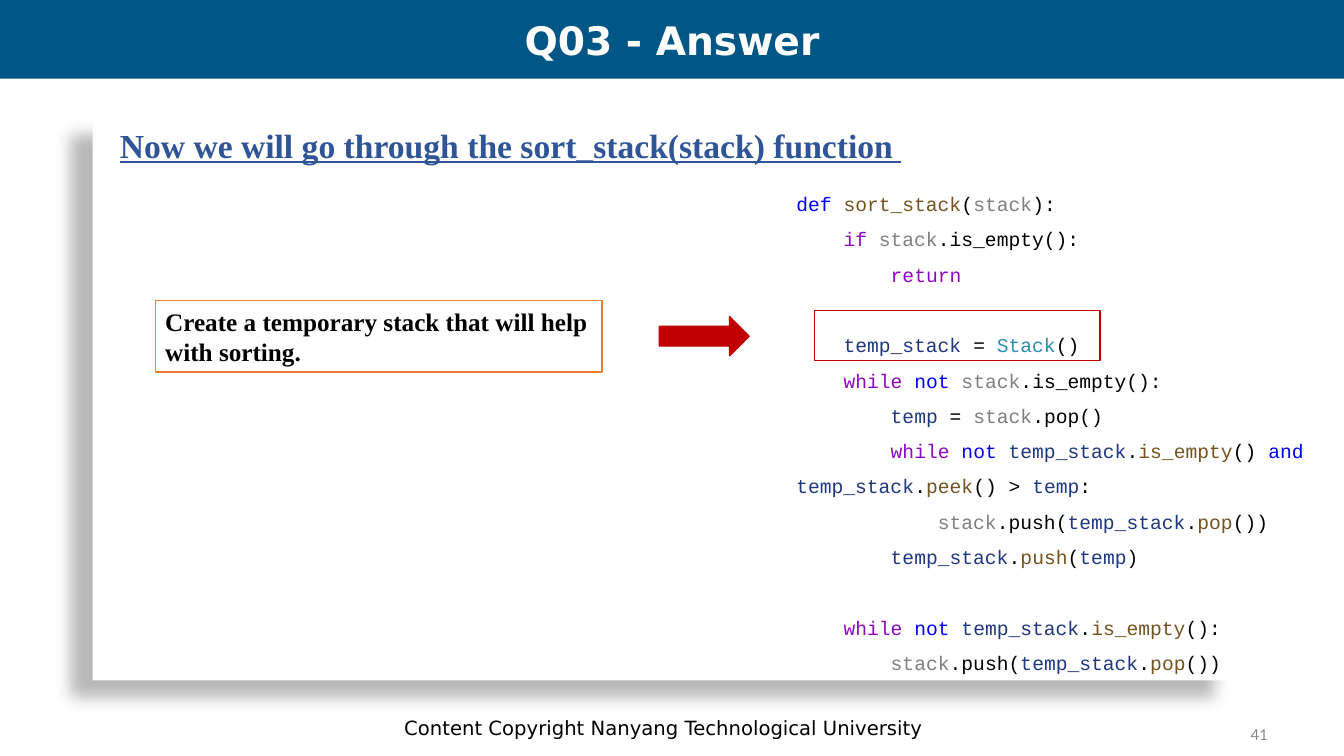
from lxml.etree import SubElement
from pptx import Presentation
from pptx.dml.color import RGBColor
from pptx.enum.shapes import MSO_SHAPE
from pptx.enum.text import MSO_ANCHOR, PP_ALIGN
from pptx.oxml.ns import qn
from pptx.util import Inches, Pt

WHITE = RGBColor(0xFF, 0xFF, 0xFF)
BLACK = RGBColor(0x00, 0x00, 0x00)
BANNER = RGBColor(0x00, 0x56, 0x84)
HEADING = RGBColor(0x2F, 0x55, 0x97)
ORANGE = RGBColor(0xED, 0x7D, 0x31)
RED = RGBColor(0xC0, 0x00, 0x00)
PAGE_NUMBER = RGBColor(0x8C, 0x8C, 0x8C)
KEYWORD = RGBColor(0x00, 0x00, 0xFF)
CONTROL = RGBColor(0x8F, 0x08, 0xC4)
FUNCTION = RGBColor(0x74, 0x53, 0x1F)
PARAMETER = RGBColor(0x80, 0x80, 0x80)
VARIABLE = RGBColor(0x1F, 0x37, 0x7F)
CLASS = RGBColor(0x2B, 0x91, 0xAF)

STACK = ("stack", PARAMETER)
TEMP_STACK = ("temp_stack", VARIABLE)
TEMP = ("temp", VARIABLE)
DOT = (".", BLACK)
EQUALS = (" = ", BLACK)
IS_EMPTY = ("is_empty", FUNCTION)
WHILE_NOT = [("while ", CONTROL), ("not ", KEYWORD)]
PUSH_POPPED = [STACK, (".push(", BLACK), TEMP_STACK, DOT, ("pop", FUNCTION), ("())", BLACK)]

# Each line of code: indent level, then coloured pieces
CODE = [
    (0, [("def ", KEYWORD), ("sort_stack", FUNCTION), ("(", BLACK), STACK, ("):", BLACK)]),
    (1, [("if ", CONTROL), STACK, (".is_empty():", BLACK)]),
    (2, [("return", CONTROL)]),
    (2, []),
    (1, [TEMP_STACK, EQUALS, ("Stack", CLASS), ("()", BLACK)]),
    (1, [*WHILE_NOT, STACK, (".is_empty():", BLACK)]),
    (2, [TEMP, EQUALS, STACK, (".pop()", BLACK)]),
    (2, [*WHILE_NOT, TEMP_STACK, DOT, IS_EMPTY, ("() ", BLACK), ("and ", KEYWORD),
         TEMP_STACK, DOT, ("peek", FUNCTION), ("() > ", BLACK), TEMP, (":", BLACK)]),
    (3, PUSH_POPPED),
    (2, [TEMP_STACK, DOT, ("push", FUNCTION), ("(", BLACK), TEMP, (")", BLACK)]),
    (1, []),
    (1, [*WHILE_NOT, TEMP_STACK, DOT, IS_EMPTY, ("():", BLACK)]),
    (2, PUSH_POPPED),
]


def style_font(font, name, size, color, bold=False):
    font.name = name
    font.size = Pt(size)
    font.color.rgb = color
    font.bold = bold


def add_box(page, area, kind=MSO_SHAPE.RECTANGLE, fill=None, line=None):
    box = page.shapes.add_shape(kind, *map(Inches, area))
    box.shadow.inherit = False
    if fill is None:
        box.fill.background()
    else:
        box.fill.solid()
        box.fill.fore_color.rgb = fill
    if line is None:
        box.line.fill.background()
    else:
        box.line.color.rgb = line
        box.line.width = Pt(1)
    return box


def add_panel_shadow(panel):
    """Cast a soft shadow to the lower left."""
    effects = panel._element.spPr.find(qn("a:effectLst"))
    shadow = SubElement(effects, qn("a:outerShdw"), blurRad=str(Pt(11.8)),
                        dist=str(Pt(19.7)), dir=str(141 * 60000),
                        algn="ctr", rotWithShape="0")
    color = SubElement(shadow, qn("a:srgbClr"), val=str(BLACK))
    SubElement(color, qn("a:alpha"), val="28000")


def set_text(box, text, name, size, color, bold=False,
             align=PP_ALIGN.LEFT, anchor=MSO_ANCHOR.MIDDLE):
    frame = box.text_frame
    frame.word_wrap = True
    frame.vertical_anchor = anchor
    frame.text = text
    paragraph = frame.paragraphs[0]
    paragraph.alignment = align
    span = paragraph.runs[0]
    style_font(span.font, name, size, color, bold)
    return span


def add_label(page, area, *text_style, **options):
    box = page.shapes.add_textbox(*map(Inches, area))
    return set_text(box, *text_style, **options)


def add_code(page, area, lines):
    frame = page.shapes.add_textbox(*map(Inches, area)).text_frame
    frame.word_wrap = True
    for number, (level, pieces) in enumerate(lines):
        paragraph = frame.add_paragraph() if number else frame.paragraphs[0]
        paragraph.line_spacing = 1.5
        indent = [("    " * level, BLACK)] if level else []
        for text, color in indent + pieces:
            span = paragraph.add_run()
            span.text = text
            style_font(span.font, "Courier New", 14, color)


def main():
    deck = Presentation()
    deck.slide_width = Inches(13.33)
    deck.slide_height = Inches(7.5)
    page = deck.slides.add_slide(deck.slide_layouts[6])

    panel = add_box(page, (0.92, 1.17, 11.33, 5.58), fill=WHITE)
    add_panel_shadow(panel)
    add_box(page, (0, 0, 13.33, 0.78), fill=BANNER)
    add_label(page, (1.79, 7.02, 9.58, 0.4), "Content Copyright Nanyang Technological University",
              "DejaVu Sans", 14, BLACK, align=PP_ALIGN.CENTER)
    add_label(page, (9.56, 7.08, 3.11, 0.4), "41", "Calibri", 12, PAGE_NUMBER,
              align=PP_ALIGN.RIGHT)
    add_code(page, (7.8, 1.74, 5.23, 5.01), CODE)

    add_label(page, (0, 0.04, 13.33, 0.71), "Q03 - Answer", "DejaVu Sans", 28, WHITE,
              bold=True, align=PP_ALIGN.CENTER)
    heading = add_label(page, (1.09, 1.19, 10.83, 0.5),
                        "Now we will go through the sort_stack(stack) function ",
                        "Times New Roman", 24, HEADING, bold=True, anchor=MSO_ANCHOR.TOP)
    heading.font.underline = True

    explanation = add_box(page, (1.54, 2.98, 4.43, 0.71), line=ORANGE)
    set_text(explanation, "Create a temporary stack that will help with sorting.",
             "Times New Roman", 18, BLACK, bold=True)
    add_box(page, (8.08, 3.08, 2.83, 0.5), line=RED)
    add_box(page, (6.54, 3.14, 0.89, 0.39), MSO_SHAPE.RIGHT_ARROW, fill=RED, line=RED)

    deck.save("out.pptx")


if __name__ == "__main__":
    main()
